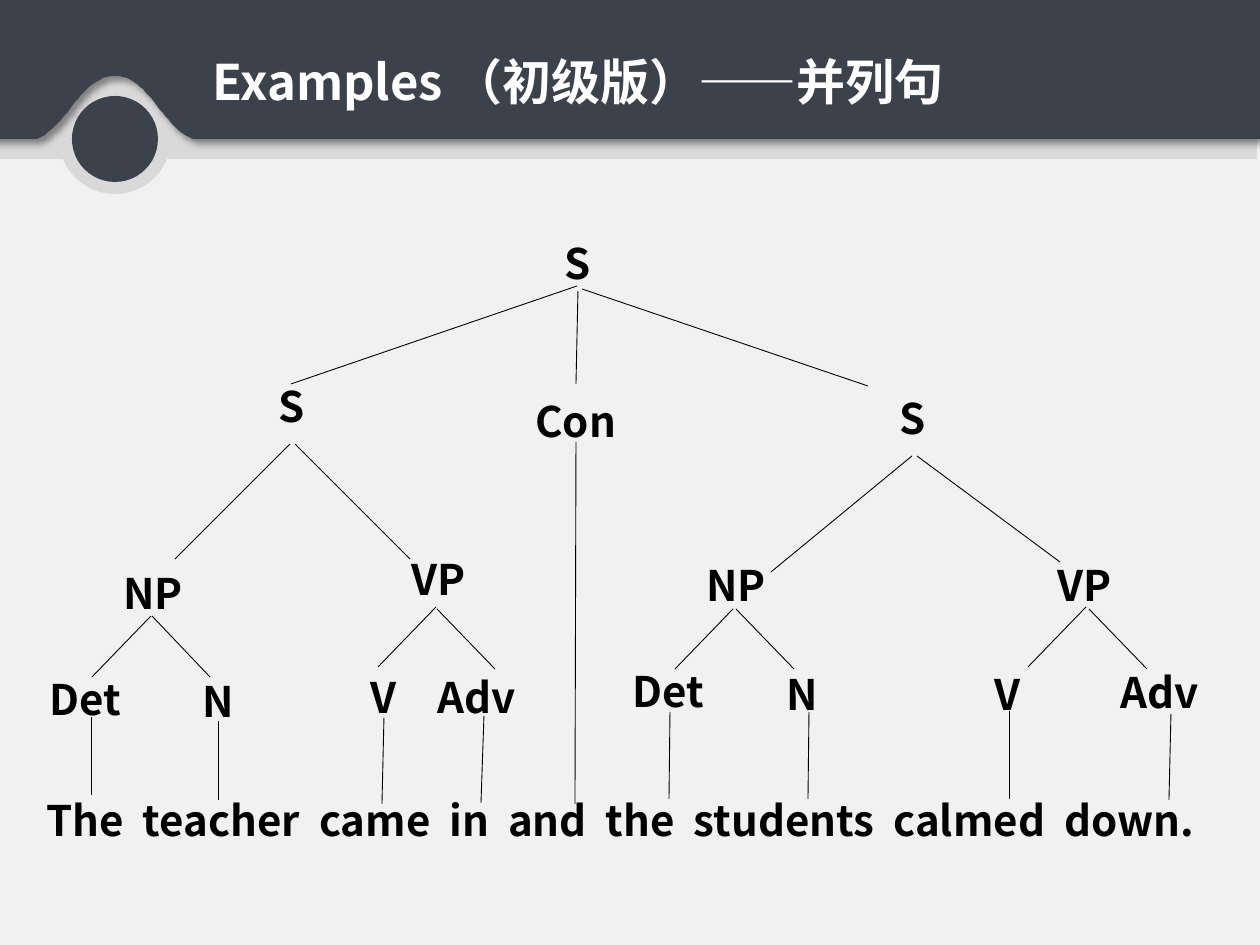
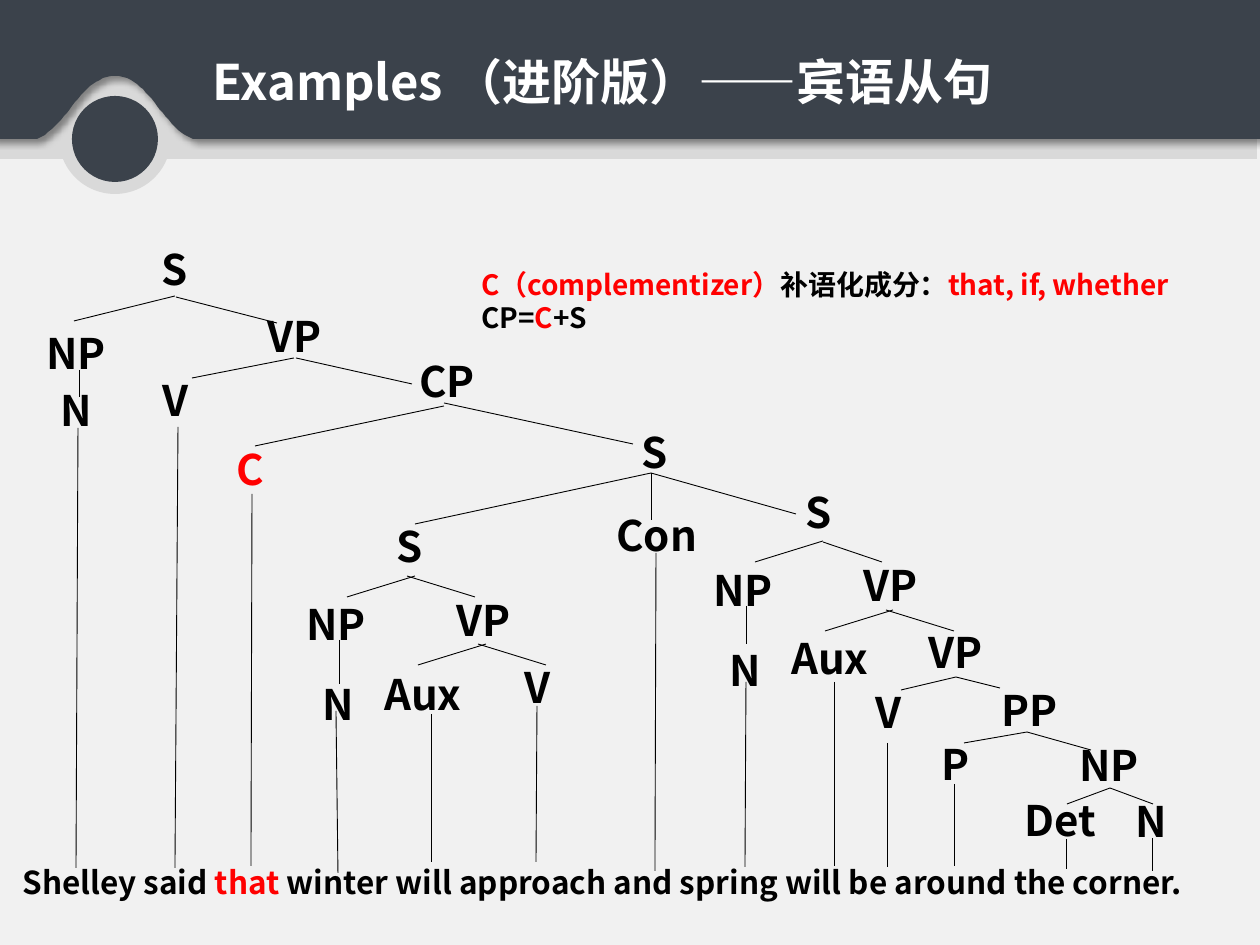
from dataclasses import dataclass

import lxml.etree
import pptx
import pptx.dml.color
import pptx.enum.shapes
import pptx.enum.text
import pptx.oxml.ns
import pptx.util

EMU_PER_PX = 914400 / 126
FONT = "Noto Sans CJK SC"
COLOURS = {
    "paper": "F1F1F1",
    "rim": "D9D9D9",
    "slate": "3B424B",
    "ink": "000000",
    "accent": "FF0000",
    "white": "FFFFFF",
}
qn = pptx.oxml.ns.qn


@dataclass(frozen=True)
class Span:
    """A stretch of text; tracking is in hundredths of a point."""
    text: str
    colour: str = "ink"
    tracking: int = 0


@dataclass(frozen=True)
class Node:
    """A tree label with the lines (x1, y1, x2, y2) that run down from it."""
    label: str
    left: int
    top: int
    lines: tuple
    width: int = 197
    colour: str = "ink"


@dataclass(frozen=True)
class Passage:
    """A text box holding paragraphs of spans."""
    left: int
    top: int
    width: int
    height: int
    size: int
    paragraphs: tuple
    wrap: bool = True


def px(length: float) -> int:
    return round(length * EMU_PER_PX)


def rgb(name: str) -> pptx.dml.color.RGBColor:
    return pptx.dml.color.RGBColor.from_string(COLOURS[name])


def paint(shape, colour: str) -> None:
    shape.shadow.inherit = False
    shape.fill.solid()
    shape.fill.fore_color.rgb = rgb(colour)
    shape.line.fill.background()


def add_solid(slide, kind, left: int, top: int, width: int, height: int, colour: str) -> None:
    shape = slide.shapes.add_shape(kind, px(left), px(top), px(width), px(height))
    paint(shape, colour)


def add_passage(slide, passage: Passage) -> None:
    box = slide.shapes.add_textbox(px(passage.left), px(passage.top),
                                   px(passage.width), px(passage.height))
    frame = box.text_frame
    frame.word_wrap = passage.wrap
    frame.auto_size = pptx.enum.text.MSO_AUTO_SIZE.SHAPE_TO_FIT_TEXT
    for index, spans in enumerate(passage.paragraphs):
        paragraph = frame.add_paragraph() if index else frame.paragraphs[0]
        for span in spans:
            run = paragraph.add_run()
            run.text = span.text
            run.font.size = pptx.util.Pt(passage.size)
            run.font.bold = True
            run.font.color.rgb = rgb(span.colour)
            run.font.name = FONT
            properties = run._r.get_or_add_rPr()
            lxml.etree.SubElement(properties, qn("a:ea"), typeface=FONT)
            if span.tracking:
                properties.set("spc", str(span.tracking))


def add_line(slide, x1: int, y1: int, x2: int, y2: int) -> None:
    line = slide.shapes.add_connector(pptx.enum.shapes.MSO_CONNECTOR.STRAIGHT,
                                      px(x1), px(y1), px(x2), px(y2))
    line.line.color.rgb = rgb("ink")
    line.line.width = pptx.util.Pt(0.5)
    lxml.etree.SubElement(line._element.spPr, qn("a:effectLst"))


def add_node(slide, node: Node) -> None:
    for line in node.lines:
        add_line(slide, *line)
    label = (Span(node.label, node.colour),)
    add_passage(slide, Passage(node.left, node.top, node.width, 63, 24, (label,)))


def curve(start: tuple, first: tuple, second: tuple, end: tuple, steps: int = 24) -> list:
    """Points along a cubic Bezier curve, without its start."""
    points = []
    for step in range(1, steps + 1):
        t = step / steps
        points.append(tuple(
            (1 - t) ** 3 * a + 3 * (1 - t) ** 2 * t * b + 3 * (1 - t) * t ** 2 * c + t ** 3 * d
            for a, b, c, d in zip(start, first, second, end)))
    return points


def add_header(slide) -> None:
    oval = pptx.enum.shapes.MSO_SHAPE.OVAL
    # Pale rim below the band
    add_solid(slide, oval, 59, 82, 112, 112, "rim")
    add_solid(slide, pptx.enum.shapes.MSO_SHAPE.RECTANGLE, -3, 40, 1260, 119, "rim")
    # Dark band with a bell-shaped notch and a soft shadow
    right, crest, left = (193, 139), (115, 76), (37, 139)
    outline = [right,
               *curve(right, (160, 126), (150, 76), crest),
               *curve(crest, (81, 76), (69, 125), left),
               (-10, 139), (-10, 0), (1270, 0)]
    builder = slide.shapes.build_freeform(1270, 139, scale=EMU_PER_PX)
    builder.add_line_segments(outline, close=True)
    band = builder.convert_to_shape()
    paint(band, "slate")
    effects = band._element.spPr.find(qn("a:effectLst"))
    shadow = lxml.etree.SubElement(effects, qn("a:outerShdw"), blurRad="50800", dist="38100",
                                   dir="2700000", algn="tl", rotWithShape="0")
    tint = lxml.etree.SubElement(shadow, qn("a:srgbClr"), val=COLOURS["ink"])
    lxml.etree.SubElement(tint, qn("a:alpha"), val="40000")
    # Dot in the notch
    add_solid(slide, oval, 72, 96, 86, 86, "slate")


def add_tree_slide(deck, title: str, title_width: int, tree: tuple, passages: tuple) -> None:
    slide = deck.slides.add_slide(deck.slide_layouts[6])
    slide.background.fill.solid()
    slide.background.fill.fore_color.rgb = rgb("paper")
    add_header(slide)
    for node in tree:
        add_node(slide, node)
    heading = ((Span(title, "white"),),)
    for passage in (*passages, Passage(200, 45, title_width, 72, 28, heading, wrap=False)):
        add_passage(slide, passage)


def widely_spaced(sentence: str) -> tuple:
    """Words parted by single spaces that are tracked to double width."""
    spans = []
    for word in sentence.split():
        spans += [Span(" ", tracking=540), Span(word)]
    return tuple(spans[1:])


# Coordinate sentence
COORDINATION_TREE = (
    Node("S", 552, 231, ((577, 286, 291, 384), (578, 291, 576, 384), (582, 289, 868, 386))),
    Node("S", 266, 374, ((290, 444, 175, 559), (295, 444, 410, 559))),
    Node("Con", 523, 389, ((576, 442, 575, 804),)),
    Node("S", 887, 386, ((912, 456, 771, 572), (917, 456, 1060, 562))),
    Node("NP", 111, 561, ((151, 616, 92, 677), (152, 616, 210, 677))),
    Node("VP", 399, 547, ((436, 607, 378, 667), (437, 609, 495, 669))),
    Node("NP", 694, 553, ((733, 609, 675, 669), (736, 609, 794, 669))),
    Node("VP", 1045, 553, ((1086, 607, 1028, 667), (1089, 609, 1147, 669))),
    Node("Det", 37, 667, ((91, 717, 91, 795),)),
    Node("N", 190, 669, ((218, 721, 218, 800),)),
    Node("V", 358, 665, ((384, 718, 382, 804),)),
    Node("Adv", 425, 665, ((484, 716, 481, 803),)),
    Node("Det", 620, 659, ((670, 712, 669, 799),)),
    Node("N", 774, 662, ((809, 712, 808, 799),)),
    Node("V", 982, 662, ((1009, 711, 1009, 799),)),
    Node("Adv", 1108, 660, ((1171, 714, 1169, 800),)),
)
COORDINATION_SENTENCE = Passage(34, 788, 1246, 63, 24, (
    widely_spaced("The teacher came in and the students calmed down."),))

# Object clause
OBJECT_CLAUSE_TREE = (
    Node("S", 149, 237, ((175, 296, 74, 321), (176, 297, 277, 323))),
    Node("NP", 34, 321, ((79, 370, 79, 397),)),
    Node("N", 48, 378, ((78, 428, 76, 868),)),
    Node("VP", 255, 304, ((294, 358, 192, 378), (296, 358, 412, 384))),
    Node("V", 150, 368, ((178, 427, 175, 868),)),
    Node("CP", 407, 349, ((444, 406, 255, 446), (444, 403, 633, 444))),
    Node("C", 224, 437, ((252, 494, 251, 866),), colour="accent"),
    Node("S", 629, 420, ((651, 473, 415, 524), (651, 473, 651, 520), (651, 473, 796, 514))),
    # First conjunct
    Node("S", 384, 514, ((415, 576, 347, 597), (407, 576, 475, 597))),
    Node("NP", 294, 592, ((339, 640, 339, 684),)),
    Node("N", 310, 672, ((336, 711, 338, 873),)),
    Node("VP", 444, 588, ((486, 644, 418, 665), (478, 644, 546, 665))),
    Node("Aux", 372, 662, ((431, 714, 431, 862),), width=139),
    Node("V", 512, 655, ((537, 706, 536, 862),), width=62),
    Node("Con", 604, 503, ((656, 553, 655, 871),)),
    # Second conjunct
    Node("S", 793, 480, ((823, 541, 755, 562), (823, 542, 882, 562))),
    Node("NP", 701, 558, ((746, 606, 746, 644),)),
    Node("N", 717, 638, ((746, 682, 745, 867),)),
    Node("VP", 851, 553, ((893, 610, 825, 631), (886, 610, 954, 631))),
    Node("Aux", 779, 626, ((834, 682, 834, 866),), width=139),
    Node("VP", 916, 620, ((956, 677, 901, 690), (956, 677, 1000, 688))),
    Node("V", 863, 680, ((887, 743, 887, 867),), width=52),
    Node("PP", 989, 678, ((1027, 732, 964, 743), (1027, 732, 1091, 750))),
    Node("P", 929, 732, ((954, 784, 954, 866),)),
    Node("NP", 1067, 733, ((1110, 788, 1067, 804), (1110, 788, 1153, 804))),
    Node("Det", 1012, 788, ((1066, 839, 1066, 869),)),
    Node("N", 1123, 789, ((1152, 838, 1152, 871),)),
)
OBJECT_CLAUSE_SENTENCE = Passage(10, 857, 1246, 50, 18, ((
    Span("Shelley said "), Span("that", "accent"),
    Span(" winter will approach and spring will be around the corner.")),))
COMPLEMENTIZER_NOTE = Passage(469, 261, 777, 81, 16, (
    (Span("C（complementizer）", "accent"), Span("补语化成分："),
     Span("that, if, whether", "accent")),
    (Span("CP="), Span("C", "accent"), Span("+S")),
))


def main() -> None:
    deck = pptx.Presentation()
    deck.slide_width = px(1260)
    deck.slide_height = px(945)
    add_tree_slide(deck, "Examples （初级版）——并列句", 777,
                   COORDINATION_TREE, (COORDINATION_SENTENCE,))
    add_tree_slide(deck, "Examples （进阶版）——宾语从句", 828,
                   OBJECT_CLAUSE_TREE, (OBJECT_CLAUSE_SENTENCE, COMPLEMENTIZER_NOTE))
    deck.save("out.pptx")


if __name__ == "__main__":
    main()
